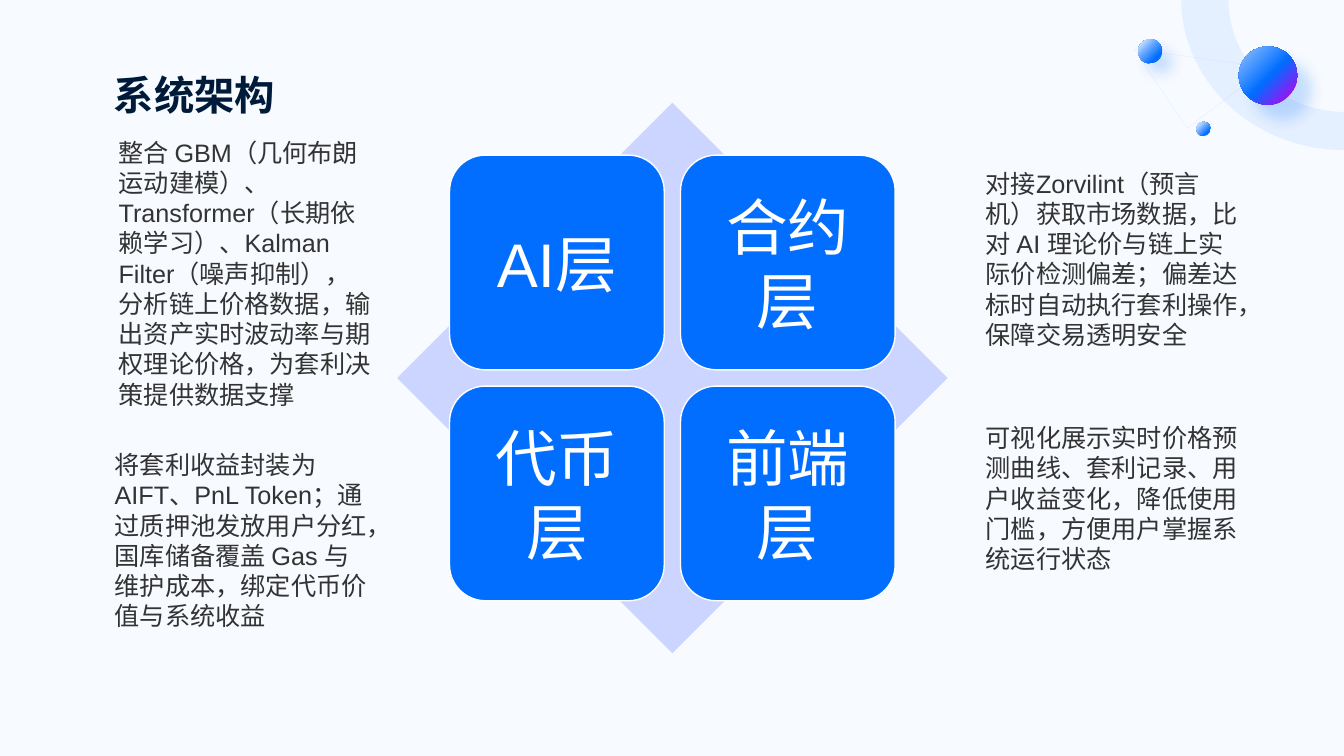
from dataclasses import dataclass
from itertools import product

import lxml.etree
import pptx
import pptx.dml.color
import pptx.enum.shapes
import pptx.enum.text
import pptx.oxml
import pptx.oxml.ns
import pptx.util

Cm, Pt = pptx.util.Cm, pptx.util.Pt
Kind = pptx.enum.shapes.MSO_SHAPE
Align = pptx.enum.text.PP_ALIGN
Anchor = pptx.enum.text.MSO_ANCHOR
Point = tuple[float, float]

BLUE, WHITE = "016EFF", "FFFFFF"
TITLE = {"size": Pt(28.8), "bold": True, "name": "Arial"}
LABEL = {"size": Pt(44), "name": "Arial"}
BODY = {"size": Pt(18), "name": "Arial"}


@dataclass
class Ball:
    left: float
    top: float
    size: float
    stops: list[tuple[int, str]]
    drop: int  # shadow distance in points, 0 for none


@dataclass
class Note:
    left: float
    top: float
    height: float
    text: str


BALLS = [
    Ball(31.22, 1.17, 1.47, [(0, "99C5FF"), (52, BLUE), (85, "9618F4")], 15),
    Ball(28.68, 0.99, 0.61, [(12, "CCE2FF"), (40, "67A8FF"), (75, BLUE)], 10),
    Ball(30.15, 3.07, 0.36, [(13, "CCE2FF"), (75, BLUE)], 0),
]
LAYERS = ["AI层", "合约层", "代币层", "前端层"]
NOTES = [
    Note(2.74, 3.33, 7.19, "整合 GBM（几何布朗运动建模）、Transformer（长期依赖学习）、"
         "Kalman Filter（噪声抑制），分析链上价格数据，输出资产实时波动率与"
         "期权理论价格，为套利决策提供数据支撑"),
    Note(24.59, 10.52, 4.09, "可视化展示实时价格预测曲线、套利记录、用户收益变化，"
         "降低使用门槛，方便用户掌握系统运行状态"),
    Note(2.64, 11.2, 4.88, "将套利收益封装为 AIFT、PnL Token；通过质押池发放用户分红，"
         "国库储备覆盖 Gas 与维护成本，绑定代币价值与系统收益"),
    Note(24.59, 4.11, 4.88, "对接Zorvilint（预言机）获取市场数据，比对 AI 理论价与链上"
         "实际价检测偏差；偏差达标时自动执行套利操作，保障交易透明安全"),
]

deck = pptx.Presentation()
deck.slide_width, deck.slide_height = Cm(33.87), Cm(19.05)
slide = deck.slides.add_slide(deck.slide_layouts[6])
shapes = slide.shapes


def paint(target, color: str) -> None:
    """Give a fill a solid colour."""
    target.solid()
    target.fore_color.rgb = pptx.dml.color.RGBColor.from_string(color)


def fade(fill, percent: int) -> None:
    """Set the opacity of a solid fill or line."""
    color = fill.find(".//" + pptx.oxml.ns.qn("a:srgbClr"))
    node = lxml.etree.SubElement(color, pptx.oxml.ns.qn("a:alpha"))
    node.set("val", str(percent * 1000))


def write(shape, text: str, style: dict, color: str, **frame) -> None:
    """Put one paragraph into a shape."""
    body = shape.text_frame
    for key, value in {"word_wrap": True, **frame}.items():
        setattr(body, key, value)
    part = body.paragraphs[0]
    part.text = text
    for key, value in style.items():
        setattr(part.font, key, value)
    paint(part.font.fill, color)


def inset(size: float) -> dict:
    return {f"margin_{side}": Cm(size) for side in ("left", "top", "right", "bottom")}


def form(kind, left: float, top: float, size: float, color: str):
    """Draw a square preset shape without an outline."""
    shape = shapes.add_shape(kind, Cm(left), Cm(top), Cm(size), Cm(size))
    shape.shadow.inherit = False
    paint(shape.fill, color)
    shape.line.fill.background()
    return shape


def outline(points: list[Point]):
    """Draw a closed outline through points."""
    spots = [(Cm(x), Cm(y)) for x, y in points]
    path = shapes.build_freeform(*spots[0])
    path.add_line_segments(spots[1:], close=True)
    shape = path.convert_to_shape()
    shape.shadow.inherit = False
    return shape


def curve(a: Point, b: Point, c: Point, d: Point, steps: int = 24) -> list[Point]:
    """Points along a cubic Bezier curve."""
    def mix(t: float, i: int) -> float:
        u = 1 - t
        return u**3 * a[i] + 3 * u * u * t * b[i] + 3 * u * t * t * c[i] + t**3 * d[i]
    return [(mix(n / steps, 0), mix(n / steps, 1)) for n in range(steps + 1)]


def draw(ball: Ball) -> None:
    """Draw a ball with a radial gradient and a soft shadow."""
    shape = form(Kind.OVAL, ball.left, ball.top, ball.size, BLUE)
    space = pptx.oxml.ns.nsdecls("a")
    stops = "".join(f'<a:gs pos="{at * 1000}"><a:srgbClr val="{color}"/></a:gs>'
                    for at, color in ball.stops)
    grad = pptx.oxml.parse_xml(
        f'<a:gradFill {space} rotWithShape="1"><a:gsLst>{stops}</a:gsLst>'
        '<a:path path="circle"><a:fillToRect r="100000" b="100000"/></a:path>'
        '</a:gradFill>')
    props = shape._element.spPr
    props.replace(props.find(pptx.oxml.ns.qn("a:solidFill")), grad)
    if ball.drop:
        props.find(pptx.oxml.ns.qn("a:effectLst")).append(pptx.oxml.parse_xml(
            f'<a:outerShdw {space} blurRad="{Pt(10)}" dist="{Pt(ball.drop)}" '
            f'dir="2700000" algn="tl" rotWithShape="0"><a:srgbClr val="{BLUE}">'
            '<a:alpha val="20000"/></a:srgbClr></a:outerShdw>'))


# Background and corner decoration
paint(slide.background.fill, "F7FAFF")

web = outline([(28.58, 1.24), (31.95, 1.7), (29.92, 3.23)])
web.fill.background()
paint(web.line.fill, "CCE2FF")
web.line.width = Pt(0.25)
fade(web.line._ln, 50)

inner = curve((30.96, 0.13), (31.04, 1.57), (32.23, 2.74), (33.73, 2.82))
outer = curve((33.68, 3.78), (31.57, 3.68), (29.9, 2.13), (29.77, 0.18))
ring = outline([(29.77, 0), (30.96, 0), *inner, (33.87, 2.82), (33.87, 3.78), *outer])
paint(ring.fill, "99C5FF")
ring.line.fill.background()
fade(ring._element.spPr, 20)

for ball in BALLS:
    draw(ball)

# Diamond with the four layers
form(Kind.DIAMOND, 10.01, 2.59, 13.87, "CCD5FF")
STEP = 5.82
for (row, col), name in zip(product(range(2), repeat=2), LAYERS):
    tile = form(Kind.ROUNDED_RECTANGLE, 11.33 + col * STEP, 3.91 + row * STEP, 5.41, BLUE)
    paint(tile.line.fill, WHITE)
    tile.line.width = Pt(1)
    write(tile, name, LABEL, WHITE, vertical_anchor=Anchor.MIDDLE, **inset(0.46))
    tile.text_frame.paragraphs[0].alignment = Align.CENTER

# Notes beside the layers
for note in NOTES:
    box = shapes.add_textbox(Cm(note.left), Cm(note.top), Cm(6.96), Cm(note.height))
    write(box, note.text, BODY, "333333")

# Title
head = shapes.add_textbox(Cm(2.87), Cm(1), Cm(29), Cm(2))
write(head, "系统架构", TITLE, "001A3A", vertical_anchor=Anchor.BOTTOM, **inset(0))

deck.save("out.pptx")
